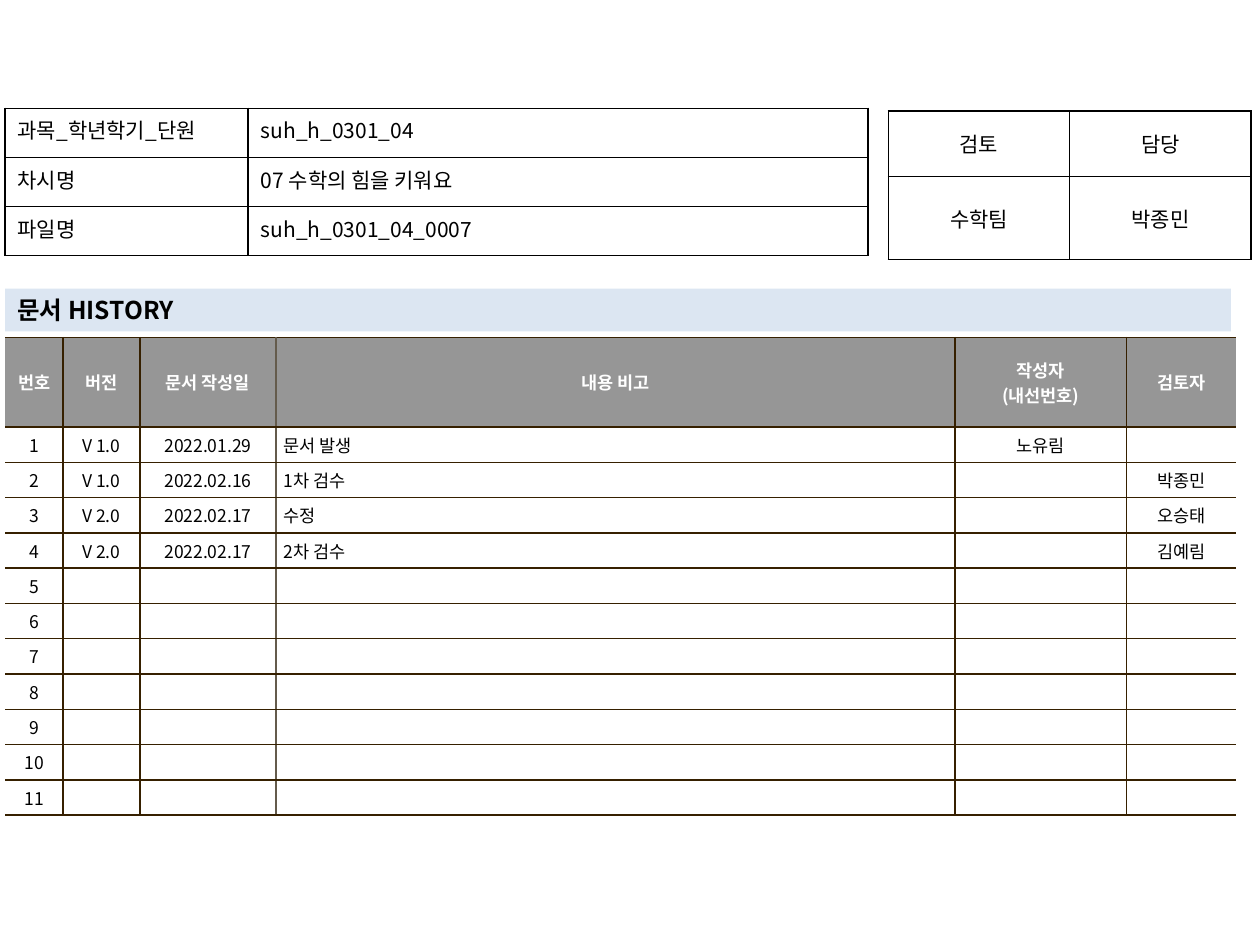
from lxml import etree
from pptx import Presentation
from pptx.dml.color import RGBColor
from pptx.enum import shapes, text
from pptx.oxml.ns import qn
from pptx.util import Inches, Pt

FONT = "Noto Sans CJK KR"
BLACK = RGBColor(0x00, 0x00, 0x00)
WHITE = RGBColor(0xFF, 0xFF, 0xFF)
HEADER_GRAY = RGBColor(0x96, 0x96, 0x96)
BAND_BLUE = RGBColor(0xDC, 0xE6, 0xF2)
BROWN = RGBColor(0x36, 0x20, 0x00)
TAUPE = RGBColor(0x64, 0x5B, 0x4C)

LEFT, CENTER, JUSTIFY = (text.PP_ALIGN.LEFT, text.PP_ALIGN.CENTER,
                         text.PP_ALIGN.JUSTIFY)
TOP, MIDDLE = text.MSO_ANCHOR.TOP, text.MSO_ANCHOR.MIDDLE

HISTORY_HEADINGS = ["번호", "버전", "문서 작성일", "내용 비고",
                    "작성자\n(내선번호)", "검토자"]
REVISIONS = [
    ["V 1.0", "2022.01.29", "문서 발생", "노유림", ""],
    ["V 1.0", "2022.02.16", "1차 검수", "", "박종민"],
    ["V 2.0", "2022.02.17", "수정", "", "오승태"],
    ["V 2.0", "2022.02.17", "2차 검수", "", "김예림"],
]
HISTORY_LINES = 11
NOTE_COLUMN, REVIEWER_COLUMN = 3, 5


def write(frame, content, size, color=BLACK, bold=False, align=LEFT):
    frame.text = content
    for paragraph in frame.paragraphs:
        paragraph.alignment = align
        for run in paragraph.runs:
            font = run.font
            font.name, font.size, font.bold = FONT, Pt(size), bold
            font.color.rgb = color
            etree.SubElement(font._element, qn("a:ea"), typeface=FONT)
        if not paragraph.runs:
            # An empty cell would otherwise take the default 18 pt line height
            etree.SubElement(paragraph._p, qn("a:endParaRPr"), sz=str(size * 100))


def set_hanging_indent(paragraph, distance):
    properties = paragraph._p.get_or_add_pPr()
    properties.set("marL", str(distance))
    properties.set("indent", str(-distance))


def set_borders(cell, left, right, top, bottom):
    """Give each side a 1 pt line in its colour, or no line for None."""
    properties = cell._tc.get_or_add_tcPr()
    sides = zip(("lnL", "lnR", "lnT", "lnB"), (left, right, top, bottom))
    for position, (side, color) in enumerate(sides):
        line = etree.Element(qn(f"a:{side}"), w=str(Pt(1)))
        if color is None:
            etree.SubElement(line, qn("a:noFill"))
        else:
            fill = etree.SubElement(line, qn("a:solidFill"))
            etree.SubElement(fill, qn("a:srgbClr"), val=str(color))
        properties.insert(position, line)


def set_margins(cell, side, end):
    cell.margin_left = cell.margin_right = Inches(side)
    cell.margin_top = cell.margin_bottom = Inches(end)


def add_grid(slide, left, top, widths, heights):
    table = slide.shapes.add_table(
        len(heights), len(widths), Inches(left), Inches(top),
        Inches(sum(widths)), Inches(sum(heights))).table
    table.first_row = table.horz_banding = False
    for column, width in zip(table.columns, widths):
        column.width = Inches(width)
    for row, height in zip(table.rows, heights):
        row.height = Inches(height)
    return table


def add_form(slide, left, top, widths, heights, lines, aligns, anchor):
    """Place a plain black-ruled table with one alignment per column."""
    form = add_grid(slide, left, top, widths, heights)
    for r, line in enumerate(lines):
        for c, content in enumerate(line):
            cell = form.cell(r, c)
            write(cell.text_frame, content, 12, align=aligns[c])
            cell.vertical_anchor = anchor
            set_margins(cell, 0.1, 0.05)
            cell.fill.background()
            set_borders(cell, BLACK, BLACK, BLACK, BLACK)


def add_history_band(slide, left, top, width, height):
    band = slide.shapes.add_shape(
        shapes.MSO_SHAPE.RECTANGLE, Inches(left), Inches(top),
        Inches(width), Inches(height))
    band.shadow.inherit = False
    band.fill.solid()
    band.fill.fore_color.rgb = BAND_BLUE
    band.line.fill.background()
    band.text_frame.word_wrap = True
    band.text_frame.vertical_anchor = MIDDLE
    write(band.text_frame, "문서 HISTORY", 14, bold=True)


def add_history_table(slide, left, top):
    widths = [0.46, 0.61, 1.08, 5.39, 1.36, 0.87]
    heights = [0.71] + [0.25] * HISTORY_LINES
    history = add_grid(slide, left, top, widths, heights)

    blanks = [[""] * len(REVISIONS[0])] * (HISTORY_LINES - len(REVISIONS))
    lines = [HISTORY_HEADINGS] + [
        [str(number)] + revision
        for number, revision in enumerate(REVISIONS + blanks, start=1)]
    inner_rules = [BROWN] * (len(widths) - 1)
    inner_rules[NOTE_COLUMN - 1] = TAUPE
    rules = [None] + inner_rules + [None]

    for r, line in enumerate(lines):
        header = r == 0
        for c, content in enumerate(line):
            cell = history.cell(r, c)
            note = c == NOTE_COLUMN and not header
            write(cell.text_frame, content, 10, WHITE if header else BLACK,
                  header, LEFT if note else CENTER)
            if note:
                set_hanging_indent(cell.text_frame.paragraphs[0], Inches(0.19))
            elif c == REVIEWER_COLUMN and not header:
                set_hanging_indent(cell.text_frame.paragraphs[0], Inches(0.09))
            cell.vertical_anchor = MIDDLE
            set_margins(cell, 0.06, 0.04)
            cell.fill.solid()
            cell.fill.fore_color.rgb = HEADER_GRAY if header else WHITE
            set_borders(cell, rules[c], rules[c + 1], BROWN, BROWN)


def main():
    deck = Presentation()
    deck.slide_width, deck.slide_height = Inches(10), Inches(7.5)
    slide = deck.slides.add_slide(deck.slide_layouts[6])

    add_history_table(slide, 0.04, 2.68)
    add_form(slide, 7.05, 0.88, [1.44, 1.44], [0.52, 0.66],
             [["검토", "담당"], ["수학팀", "박종민"]],
             [CENTER, CENTER], MIDDLE)
    add_history_band(slide, 0.04, 2.29, 9.73, 0.34)
    add_form(slide, 0.04, 0.86, [1.93, 4.92], [0.39] * 3,
             [["과목_학년학기_단원", "suh_h_0301_04"],
              ["차시명", "07 수학의 힘을 키워요"],
              ["파일명", "suh_h_0301_04_0007"]],
             [JUSTIFY, LEFT], TOP)

    deck.save("out.pptx")


if __name__ == "__main__":
    main()
